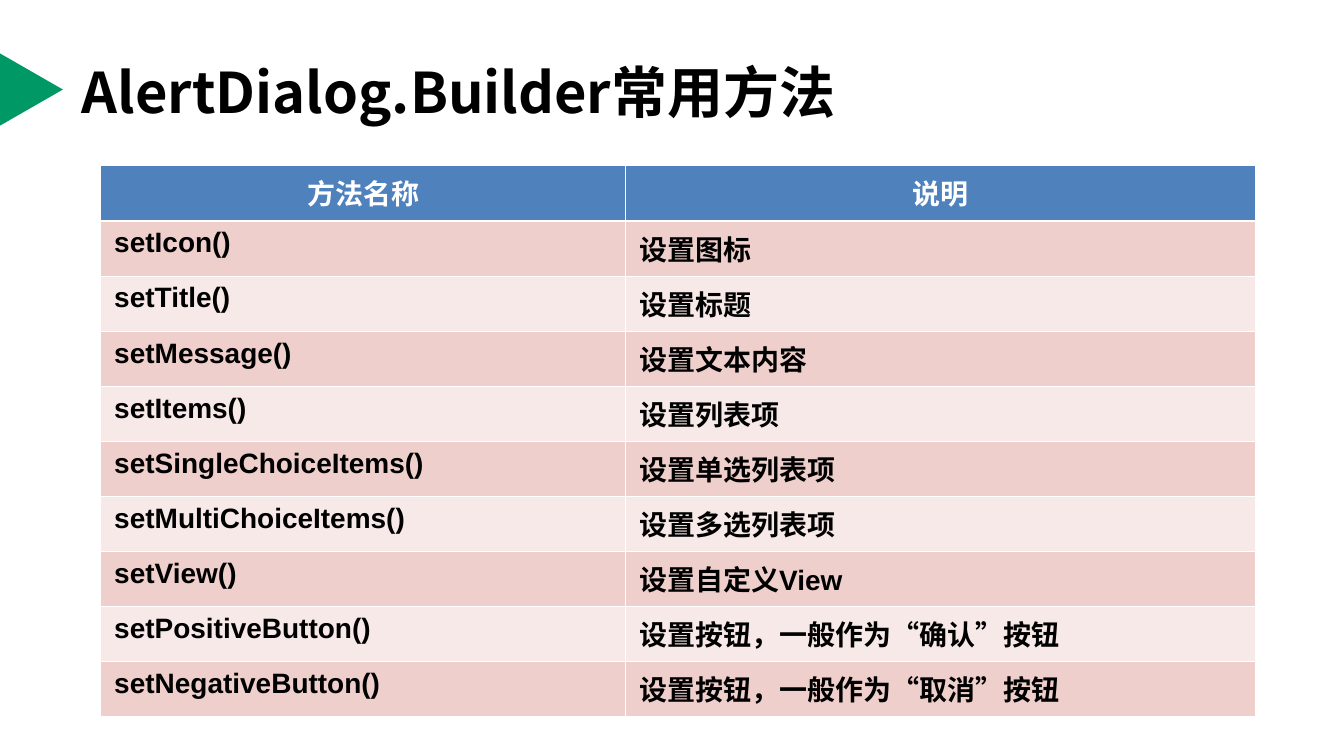
from lxml.etree import SubElement
from pptx import Presentation
from pptx.dml.color import RGBColor
from pptx.enum.shapes import MSO_SHAPE as Kind
from pptx.enum.text import MSO_ANCHOR as Anchor, PP_ALIGN as Align
from pptx.oxml.ns import qn
from pptx.util import Pt


def paint(fill, color):
    fill.solid()
    fill.fore_color.rgb = RGBColor.from_string(color)


def style(para, size, name, color):
    font = para.font
    font.size, font.name, font.bold = Pt(size), name, True
    paint(font.fill, color)
    props = para._p.pPr.find(qn("a:defRPr"))
    SubElement(props, qn("a:ea"), typeface="Noto Sans CJK SC")


deck = Presentation()
deck.slide_width, deck.slide_height = Pt(720), Pt(405)
slide = deck.slides.add_slide(deck.slide_layouts[6])

mark = slide.shapes.add_shape(
    Kind.ISOSCELES_TRIANGLE, Pt(-2.8), Pt(31), Pt(39), Pt(34))
mark.rotation = 90
mark.shadow.inherit = False
paint(mark.fill, "009966")
mark.line.fill.background()

title = slide.shapes.add_textbox(Pt(36.7), Pt(15.1), Pt(648), Pt(67.7))
frame = title.text_frame
frame.word_wrap = True
frame.vertical_anchor = Anchor.MIDDLE
frame.text = "AlertDialog.Builder常用方法"
style(frame.paragraphs[0], 30, "Noto Sans CJK SC", "000000")

rows = [
    ("方法名称", "说明"),
    ("setIcon()", "设置图标"),
    ("setTitle()", "设置标题"),
    ("setMessage()", "设置文本内容"),
    ("setItems()", "设置列表项"),
    ("setSingleChoiceItems()", "设置单选列表项"),
    ("setMultiChoiceItems()", "设置多选列表项"),
    ("setView()", "设置自定义View"),
    ("setPositiveButton()", "设置按钮，一般作为“确认”按钮"),
    ("setNegativeButton()", "设置按钮，一般作为“取消”按钮"),
]
high = 29.53
table = slide.shapes.add_table(
    len(rows), 2, Pt(54), Pt(88.8), Pt(618.7), Pt(high * len(rows))).table
for col, wide in zip(table.columns, (281.2, 337.5)):
    col.width = Pt(wide)

for i, row in enumerate(rows):
    table.rows[i].height = Pt(high)
    for j, text in enumerate(row):
        cell = table.cell(i, j)
        cell.text = text
        para = cell.text_frame.paragraphs[0]
        para.alignment = Align.LEFT if i else Align.CENTER
        style(para, 15, "Arial", "000000" if i else "FFFFFF")
        props = cell._tc.get_or_add_tcPr()
        for side in "LRTB":
            thick = (i, side) in ((0, "B"), (1, "T"))
            width = Pt(1.47 if thick else 0.45)
            line = SubElement(props, qn("a:ln" + side), w=str(width))
            solid = SubElement(line, qn("a:solidFill"))
            SubElement(solid, qn("a:srgbClr"), val="FFFFFF")
        band = "EFCFCC" if i % 2 else "F7E9E7"
        paint(cell.fill, band if i else "4F81BD")

deck.save("out.pptx")
